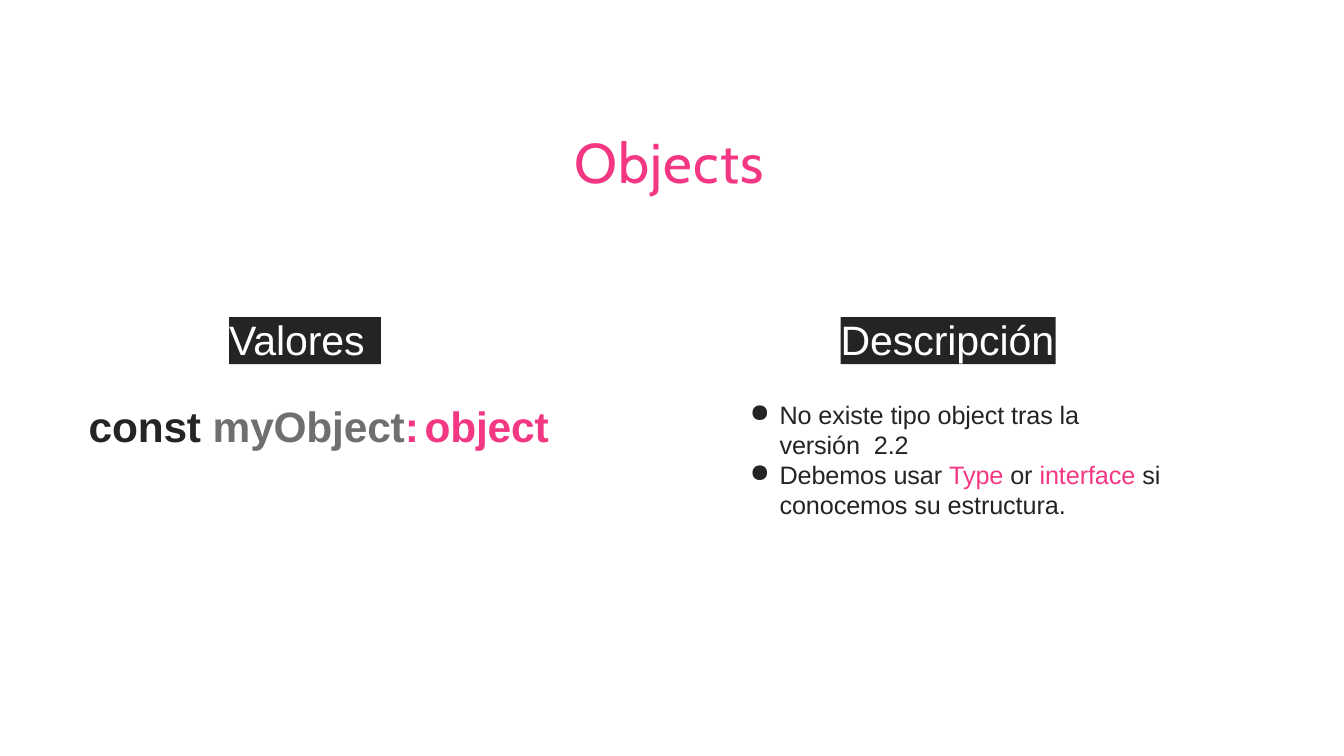
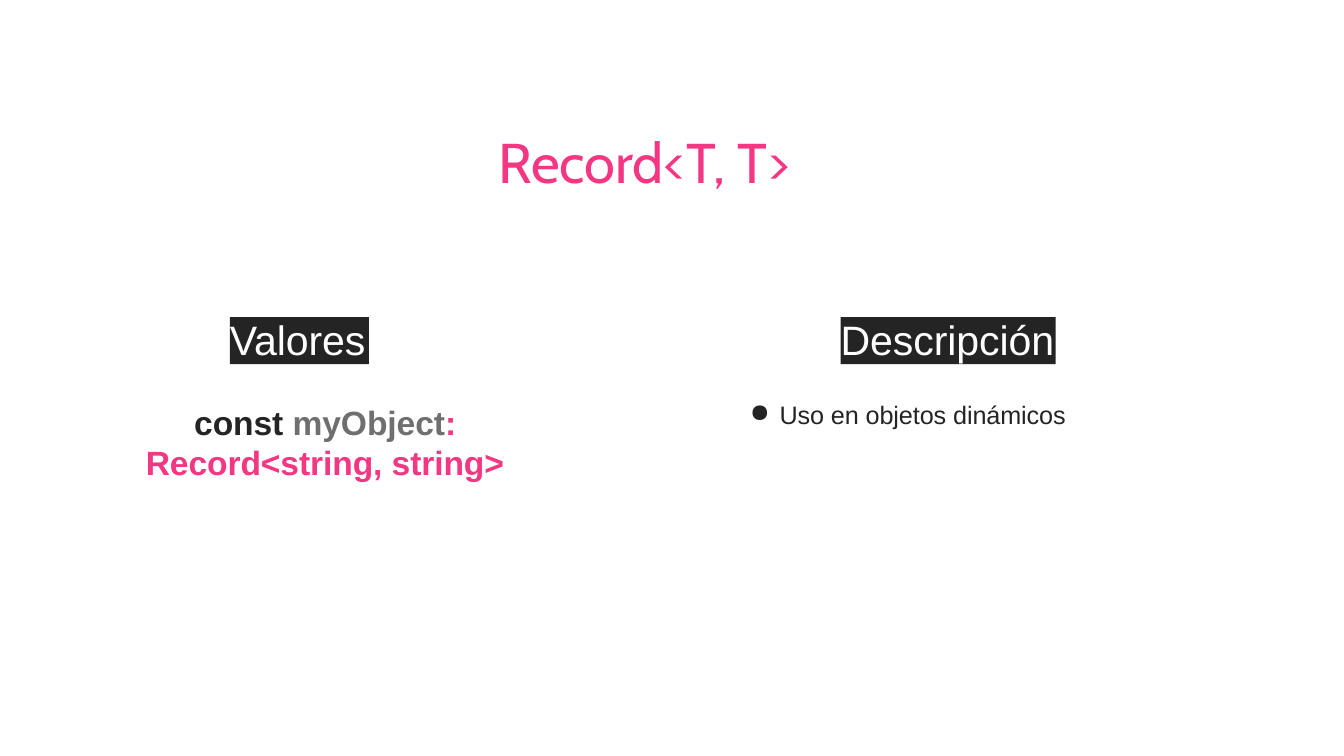
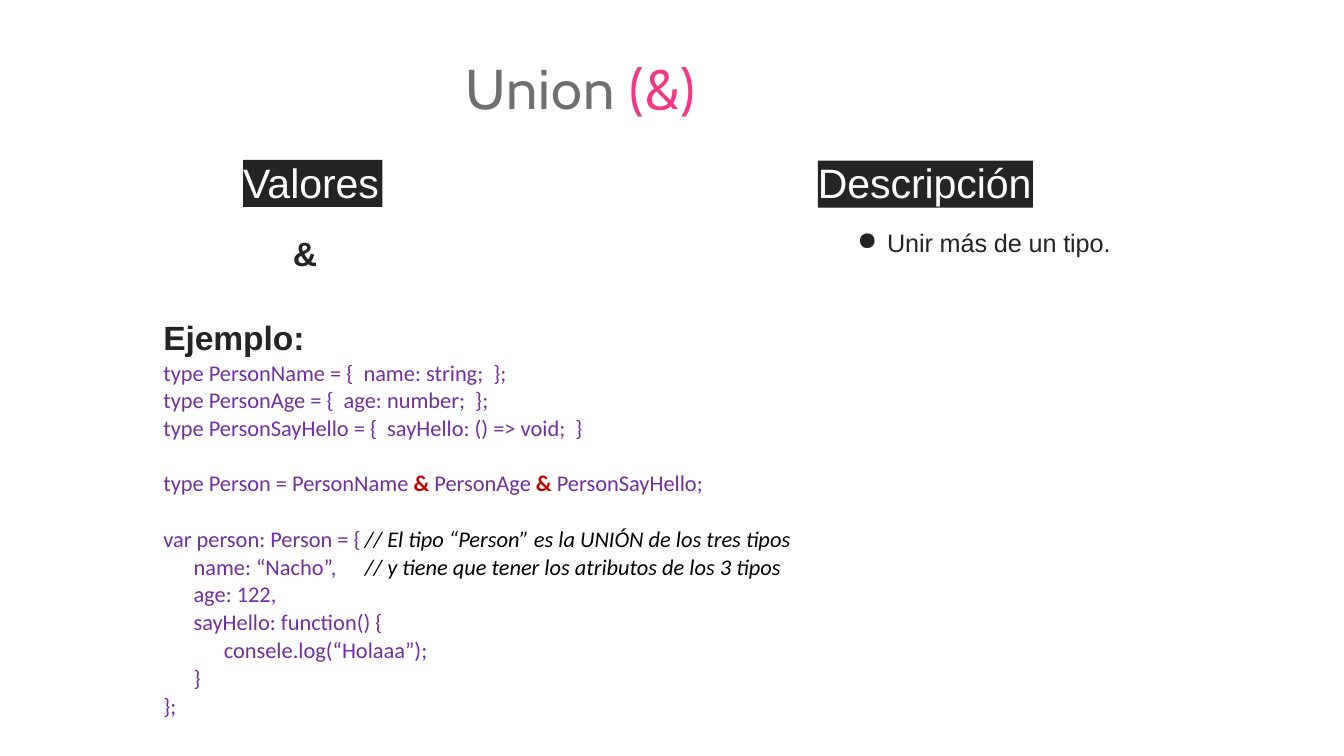
"""Build three slides on TypeScript object, record and union types."""
from lxml.etree import SubElement
from pptx import Presentation
from pptx.dml.color import RGBColor
from pptx.enum.shapes import MSO_SHAPE
from pptx.enum.text import MSO_ANCHOR, MSO_AUTO_SIZE, PP_ALIGN
from pptx.oxml.ns import qn
from pptx.util import Inches, Pt

PINK = RGBColor(0xF3, 0x37, 0x83)
DARK = RGBColor(0x24, 0x24, 0x24)
GRAY = RGBColor(0x6F, 0x6F, 0x71)
WHITE = RGBColor(0xFF, 0xFF, 0xFF)
VIOLET = RGBColor(0x70, 0x30, 0xA0)
RED = RGBColor(0xC0, 0x00, 0x00)
BLACK = RGBColor(0x00, 0x00, 0x00)


def write(shape, runs, size, font="Arial", bold=False, track=0, left=0.01,
          first=0, before=1, line=None, tab=None, bullet=None):
    """Add one paragraph of (text, colour, style) runs to a shape."""
    frame = shape.text_frame
    para = frame.add_paragraph() if frame.text else frame.paragraphs[0]
    para.alignment = PP_ALIGN.LEFT
    para.space_before = Pt(before)
    if line:
        para.line_spacing = Pt(line)
    props = para._p.get_or_add_pPr()
    props.set("marL", str(Inches(left)))
    props.set("indent", str(Inches(first)))
    if bullet:
        SubElement(props, qn("a:buChar"), char=bullet)
    if tab:
        tabs = SubElement(props, qn("a:tabLst"))
        SubElement(tabs, qn("a:tab"), pos=str(Inches(tab)), algn="l")
    for text, color, *style in runs:
        run = para.add_run()
        run.text = text
        run.font.name = font
        run.font.size = Pt(size)
        run.font.bold = bold or "bold" in style
        run.font.italic = "italic" in style
        run.font.color.rgb = color
        if track:
            run._r.get_or_add_rPr().set("spc", str(track))


def setup(shape, left, top, width, height, inset=0.01):
    """Place a shape and give its text plain margins."""
    shape.left, shape.top = Inches(left), Inches(top)
    shape.width, shape.height = Inches(width), Inches(height)
    frame = shape.text_frame
    frame.word_wrap = True
    frame.auto_size = MSO_AUTO_SIZE.NONE
    frame.vertical_anchor = MSO_ANCHOR.TOP
    frame.margin_left = frame.margin_right = frame.margin_bottom = 0
    frame.margin_top = Inches(inset)
    return shape


deck = Presentation()
deck.slide_width, deck.slide_height = Inches(20), Inches(11.25)

pages = [
    {"title": [("Objects", PINK)], "place": (8.54, 1.89, 2.92, 1.03), "track": 130,
     "heads": [("Valores", 3.41, 4.72, 2.26), ("Descripción", 12.51, 4.72, 3.2)],
     "area": (11.15, 5.94, 6.18, 1.83),
     "notes": [[("No existe tipo object tras la versión  2.2", DARK)],
               [("Debemos usar ", DARK), ("Type ", PINK), ("or ", DARK),
                ("interface ", PINK), ("si conocemos su estructura.", DARK)]]},
    {"title": [("Record<T, T>", PINK)], "place": (7.41, 1.89, 5.18, 1.03), "track": -10,
     "heads": [("Valores", 3.42, 4.72, 2.07), ("Descripción", 12.51, 4.72, 3.2)],
     "area": (11.15, 5.94, 4.72, 0.48),
     "notes": [[("Uso en objetos dinámicos", DARK)]]},
    {"title": [("Union ", GRAY), ("(&)", PINK)], "place": (6.92, 0.79, 5, 1.02), "track": 120,
     "heads": [("Valores", 3.62, 2.38, 2.07), ("Descripción", 12.17, 2.39, 3.2)],
     "area": (12.75, 3.38, 3.8, 0.48),
     "notes": [[("Unir más de un tipo.", DARK)]]},
]

slides = []
for page in pages:
    slide = deck.slides.add_slide(deck.slide_layouts[5])
    slides.append(slide)
    title = setup(slide.shapes.title, *page["place"])
    write(title, page["title"], 60, font="Cabin", track=page["track"])
    for text, left, top, width in page["heads"]:
        head = slide.shapes.add_shape(MSO_SHAPE.RECTANGLE, 0, 0, 0, 0)
        setup(head, left, top, width, 0.7, inset=0)
        head.shadow.inherit = False
        head.fill.solid()
        head.fill.fore_color.rgb = DARK
        head.line.fill.background()
        write(head, [(text, WHITE)], 44, track=-10, left=0, before=0, line=49.6)
    area = setup(slide.shapes.add_textbox(0, 0, 0, 0), *page["area"])
    for runs in page["notes"]:
        write(area, runs, 27, track=-10, left=0.45, first=-0.44,
              before=1 if runs is page["notes"][0] else 0, line=32, bullet="●")

value = setup(slides[0].shapes.add_textbox(0, 0, 0, 0), 1.31, 5.94, 7.07, 0.79)
write(value, [("const ", DARK), ("myObject", GRAY), (":\tobject", PINK)],
      45.5, bold=True, track=-20, tab=5.2)

value = setup(slides[1].shapes.add_textbox(0, 0, 0, 0), 2.16, 5.94, 5.39, 1.22, 0.04)
write(value, [("const ", DARK), ("myObject", GRAY), (": Record<string, string>", PINK)],
      36, bold=True, track=-10, first=0.72, before=2.8, line=42.8)

sample = setup(slides[2].shapes.add_textbox(0, 0, 0, 0), 2.42, 3.46, 10.08, 7.29)
write(sample, [("&", DARK)], 36, bold=True, track=-10, first=1.93)
write(sample, [("Ejemplo:", DARK)], 36, bold=True, track=-10, before=47)

STEP, GAP = 0.45, 30.5
code = [
    (0, 1, [("type PersonName = {  name: string;  };", VIOLET)]),
    (0, 1, [("type PersonAge = {  age: number;  };", VIOLET)]),
    (0, 1, [("type PersonSayHello = {  sayHello: () => void;  }", VIOLET)]),
    (0, GAP, [("type Person = PersonName ", VIOLET), ("& ", RED, "bold"),
              ("PersonAge ", VIOLET), ("& ", RED, "bold"), ("PersonSayHello;", VIOLET)]),
    (0, GAP, [("var person: Person = {\t", VIOLET),
              ("// El tipo “Person” es la UNIÓN de los tres tipos", BLACK, "italic")]),
    (1, 1, [("name: “Nacho”,\t", VIOLET),
            ("// y tiene que tener los atributos de los 3 tipos", BLACK, "italic")]),
    (1, 1, [("age: 122,", VIOLET)]),
    (1, 1, [("sayHello: function() {", VIOLET)]),
    (2, 1, [("consele.log(“Holaaa”);", VIOLET)]),
    (1, 1, [("}", VIOLET)]),
    (0, 1, [("};", VIOLET)]),
]
for depth, before, runs in code:
    write(sample, runs, 24, font="Calibri", first=depth * STEP, before=before,
          tab=3.6 + 0.1 * depth)

deck.save("out.pptx")
